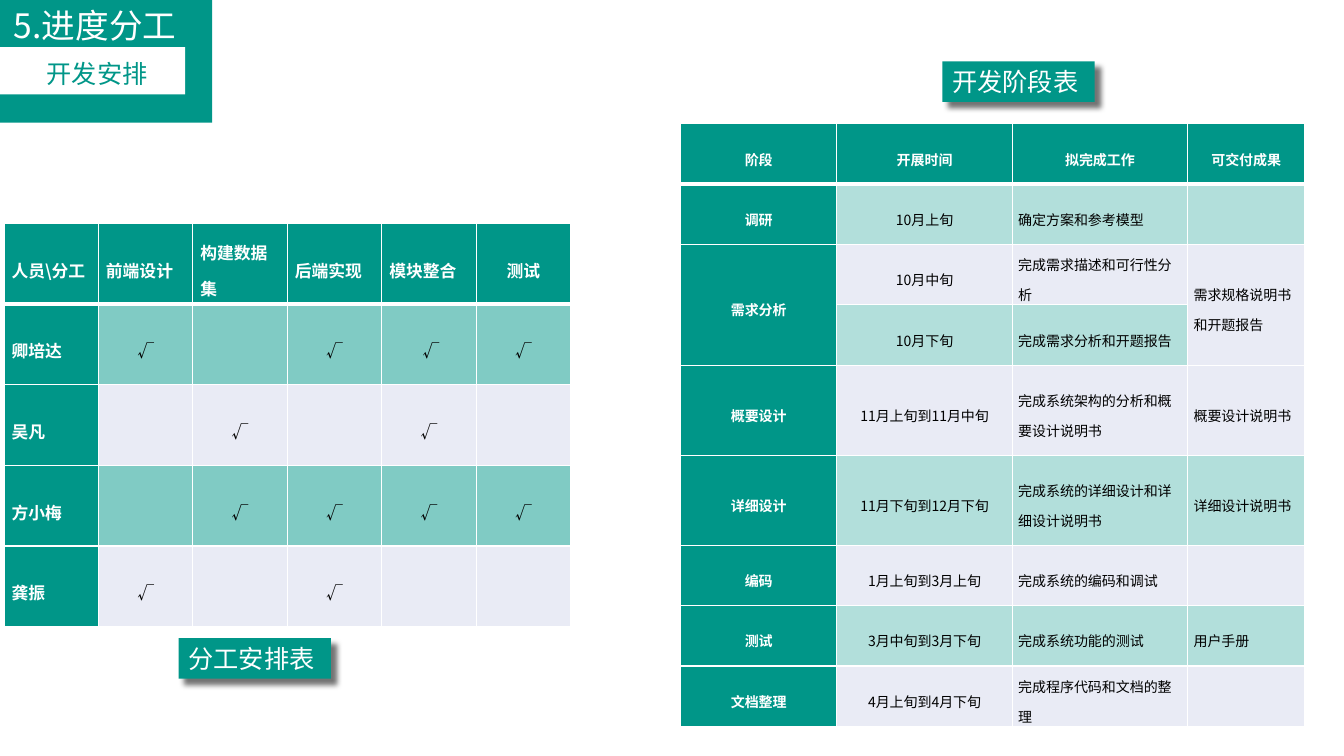
import dataclasses
import typing

import lxml.etree
import pptx
import pptx.dml.color
import pptx.enum.shapes
import pptx.enum.text
import pptx.oxml
import pptx.oxml.ns
import pptx.util

Cm, Pt = pptx.util.Cm, pptx.util.Pt
ALIGN = pptx.enum.text.PP_ALIGN
MIDDLE = pptx.enum.text.MSO_ANCHOR.MIDDLE
qn = pptx.oxml.ns.qn
NS = pptx.oxml.ns.nsdecls("a")
FONT = "Noto Sans CJK SC"
TEAL, WHITE, BLACK, PALE = "009688", "FFFFFF", "000000", "E9EBF5"


@dataclasses.dataclass
class Box:
    left: float
    top: float
    width: float
    height: float

    def lengths(self) -> list:
        return [Cm(v) for v in (self.left, self.top, self.width, self.height)]


@dataclasses.dataclass
class Grid:
    left: float
    top: float
    cols: list
    heights: list
    rows: list
    size: int
    band: str
    margin: float
    align: typing.Callable
    merges: list


def rgb(color: str) -> pptx.dml.color.RGBColor:
    return pptx.dml.color.RGBColor.from_string(color)


def style(p, size: int, color: str, align, bold: bool = False) -> None:
    p.alignment = align
    p.font.size = Pt(size)
    p.font.bold = bold
    p.font.name = FONT
    p.font.color.rgb = rgb(color)
    ea = lxml.etree.SubElement(p._p.pPr.find(qn("a:defRPr")), qn("a:ea"))
    ea.set("typeface", FONT)


def write(sp, text: str, size: int, color: str, align) -> None:
    tf = sp.text_frame
    tf.word_wrap = True
    tf.auto_size = pptx.enum.text.MSO_AUTO_SIZE.SHAPE_TO_FIT_TEXT
    tf.vertical_anchor = pptx.enum.text.MSO_ANCHOR.TOP
    tf.text = text
    p = tf.paragraphs[0]
    p.line_spacing = 1.0
    style(p, size, color, align)


def add_rect(s, box: Box, color: str):
    sp = s.shapes.add_shape(pptx.enum.shapes.MSO_SHAPE.RECTANGLE, *box.lengths())
    sp.fill.solid()
    sp.fill.fore_color.rgb = rgb(color)
    sp.line.fill.background()
    sp.shadow.inherit = False
    return sp


def add_caption(s, left: float, top: float, text: str) -> None:
    sp = add_rect(s, Box(left, top, 3.84, 1.02), TEAL)
    write(sp, text, 18, WHITE, ALIGN.LEFT)
    effects = sp._element.spPr.find(qn("a:effectLst"))
    effects.append(pptx.oxml.parse_xml(
        f'<a:outerShdw {NS} blurRad="{Pt(4)}" dist="{Pt(6)}" dir="2700000" '
        f'algn="tl" rotWithShape="0"><a:srgbClr val="{BLACK}">'
        '<a:alpha val="55000"/></a:srgbClr></a:outerShdw>'))


def set_borders(cell, row: int) -> None:
    widths = {"L": 1, "R": 1, "T": 3 if row == 1 else 1, "B": 3 if row == 0 else 1}
    for side, width in widths.items():
        cell._tc.get_or_add_tcPr().append(pptx.oxml.parse_xml(
            f'<a:ln{side} {NS} w="{Pt(width)}"><a:solidFill>'
            f'<a:srgbClr val="{WHITE}"/></a:solidFill></a:ln{side}>'))


def add_grid(s, g: Grid):
    box = Box(g.left, g.top, sum(g.cols), sum(g.heights))
    tbl = s.shapes.add_table(len(g.rows), len(g.cols), *box.lengths()).table
    tbl.horz_banding = False
    for col, width in zip(tbl.columns, g.cols):
        col.width = Cm(width)
    for row, height in zip(tbl.rows, g.heights):
        row.height = Cm(height)
    for r, texts in enumerate(g.rows):
        for c, text in enumerate(texts):
            cell = tbl.cell(r, c)
            head = r == 0 or c == 0
            set_borders(cell, r)
            cell.fill.solid()
            cell.fill.fore_color.rgb = rgb(TEAL if head else g.band if r % 2 else PALE)
            cell.vertical_anchor = MIDDLE
            cell.margin_left = cell.margin_right = Cm(g.margin)
            cell.margin_top = cell.margin_bottom = 0
            if text:
                cell.text = text
                p = cell.text_frame.paragraphs[0]
                p.line_spacing = 1.5
                style(p, g.size, WHITE if head else BLACK, g.align(r, c), head)
    for first, last in g.merges:
        tbl.cell(*first).merge(tbl.cell(*last))
    return tbl


def phase_align(r: int, c: int):
    return ALIGN.CENTER if r == 0 or c < 2 else ALIGN.LEFT


def duty_align(r: int, c: int):
    left = c == 0 or (r == 0 and c < 5) or (r, c) == (1, 4)
    return ALIGN.LEFT if left else ALIGN.CENTER


PHASES = [
    ["阶段", "开展时间", "拟完成工作", "可交付成果"],
    ["调研", "10月上旬", "确定方案和参考模型", ""],
    ["需求分析", "10月中旬", "完成需求描述和可行性分析", "需求规格说明书和开题报告"],
    ["", "10月下旬", "完成需求分析和开题报告", ""],
    ["概要设计", "11月上旬到11月中旬", "完成系统架构的分析和概要设计说明书", "概要设计说明书"],
    ["详细设计", "11月下旬到12月下旬", "完成系统的详细设计和详细设计说明书", "详细设计说明书"],
    ["编码", "1月上旬到3月上旬", "完成系统的编码和调试", ""],
    ["测试", "3月中旬到3月下旬", "完成系统功能的测试", "用户手册"],
    ["文档整理", "4月上旬到4月下旬", "完成程序代码和文档的整理", ""],
]
DUTIES = [
    ["人员\\分工", "前端设计", "构建数据集", "后端实现", "模块整合", "测试"],
    ["卿培达", "√", "", "√", "√", "√"],
    ["吴凡", "", "√", "", "√", ""],
    ["方小梅", "", "√", "√", "√", "√"],
    ["龚振", "√", "", "√", "", ""],
]

prs = pptx.Presentation()
prs.slide_width, prs.slide_height = Cm(33.87), Cm(19.05)
s = prs.slides.add_slide(prs.slide_layouts[5])

title = s.shapes.title
title.left, title.top, title.width, title.height = Box(-0.08, 0, 4.95, 1.27).lengths()
write(title, "5.进度分工", 24, WHITE, ALIGN.CENTER)
banner = add_rect(s, Box(-0.03, -0.03, 5.38, 3.12), TEAL)
title._element.addprevious(banner._element)
add_rect(s, Box(-0.03, 1.19, 4.7, 1.19), WHITE)
subtitle = s.shapes.add_textbox(*Box(0.1, 1.35, 4.7, 1.02).lengths())
write(subtitle, "开发安排", 18, TEAL, ALIGN.CENTER)

add_grid(s, Grid(17.15, 3.12, [3.94, 4.42, 4.42, 2.95],
                 [1.52] * 4 + [2.27] * 2 + [1.52] * 3, PHASES, 10, "B2DFDB", 0.15,
                 phase_align, [((2, 0), (3, 0)), ((2, 3), (3, 3))]))
duties = add_grid(s, Grid(0.1, 5.64, [2.38] * 6, [2.03] * 5, DUTIES, 12, "80CBC4",
                          0.19, duty_align, []))
indented = duties.cell(1, 4).text_frame.paragraphs[0]
indented._p.get_or_add_pPr().set("indent", str(Cm(0.84)))

add_caption(s, 4.5, 16.08, "分工安排表")
add_caption(s, 23.75, 1.55, "开发阶段表")

prs.save("out.pptx")
